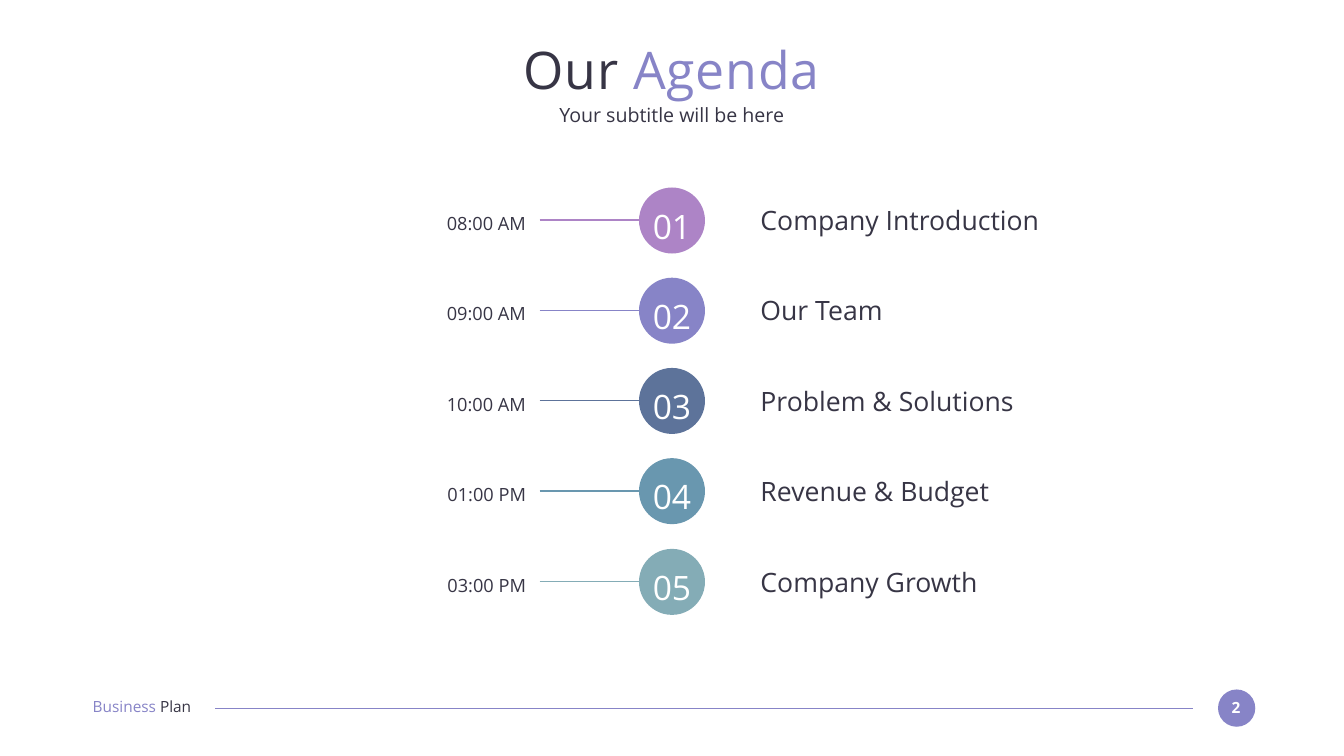
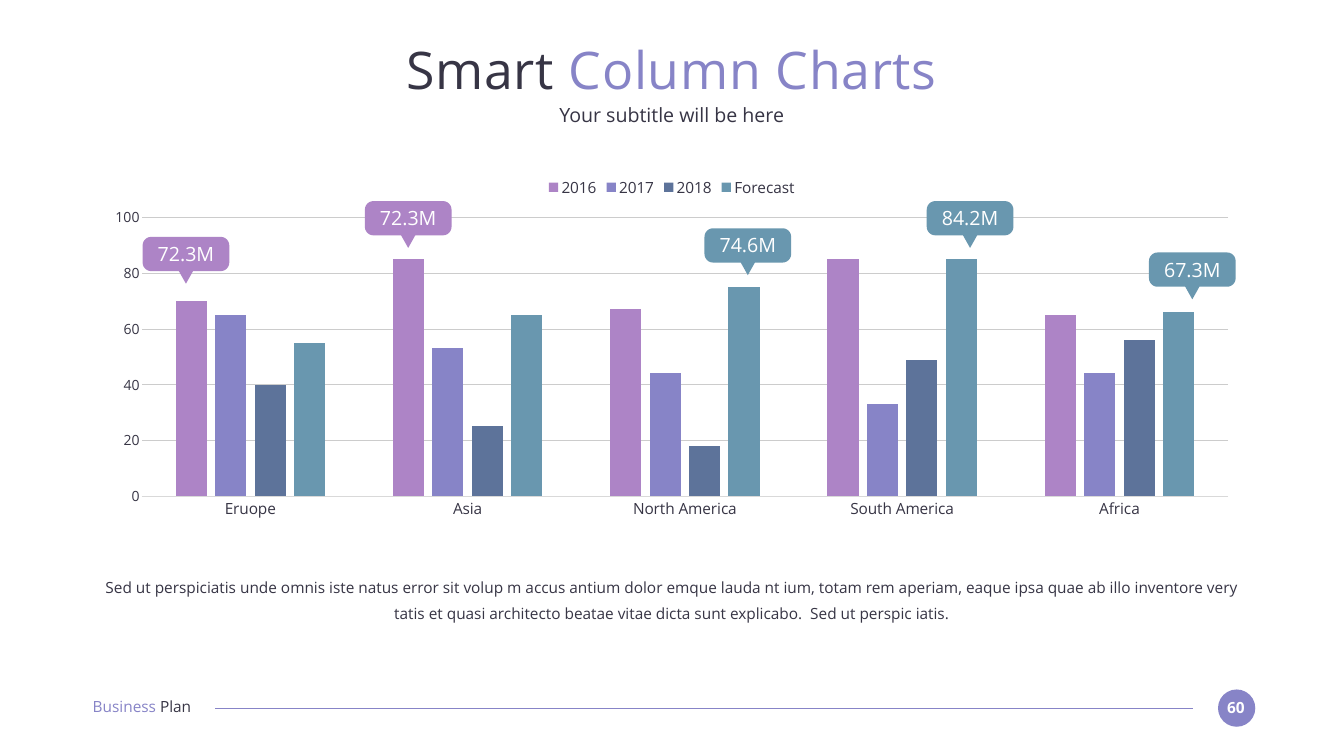
import math

from lxml import etree
from pptx import Presentation
from pptx import util as u
from pptx.chart.data import CategoryChartData
from pptx.dml.color import RGBColor
from pptx.enum import chart as charts
from pptx.enum import shapes, text
from pptx.oxml.ns import qn

# Scale: 100 px to the inch
PX = u.Inches(1) // 100
SLIDE_WIDTH, SLIDE_HEIGHT = 2667, 1500
MARGIN, CONTENT_WIDTH = 183, 2300

FONT = "Open Sans"
INK = RGBColor(0x37, 0x35, 0x45)
WHITE = RGBColor(0xFF, 0xFF, 0xFF)
ORCHID = RGBColor(0xAD, 0x84, 0xC6)
VIOLET = RGBColor(0x87, 0x84, 0xC7)
NAVY = RGBColor(0x5D, 0x73, 0x9A)
STEEL = RGBColor(0x69, 0x97, 0xAF)
SAGE = RGBColor(0x84, 0xAC, 0xB6)
AXIS_GREY = RGBColor(0xD9, 0xD9, 0xD9)
GRID_GREY = RGBColor(0xCC, 0xCC, 0xCC)
PALETTE = [ORCHID, VIOLET, NAVY, STEEL, SAGE]

LEFT, CENTER, RIGHT = text.PP_ALIGN.LEFT, text.PP_ALIGN.CENTER, text.PP_ALIGN.RIGHT

AGENDA = [
    ("08:00 AM", "Company Introduction"),
    ("09:00 AM", "Our Team"),
    ("10:00 AM", "Problem & Solutions"),
    ("01:00 PM", "Revenue & Budget"),
    ("03:00 PM", "Company Growth"),
]

REGIONS = ["Eruope", "Asia", "North America", "South America", "Africa"]
REVENUE = {
    "2016": [70, 85, 67, 85, 65],
    "2017": [65, 53, 44, 33, 44],
    "2018": [40, 25, 18, 49, 56],
    "Forecast": [55, 65, 75, 85, 66],
}
CALLOUTS = [
    (283, 470, "72.3M", ORCHID),
    (724, 399, "72.3M", ORCHID),
    (1398, 453, "74.6M", STEEL),
    (1839, 399, "84.2M", STEEL),
    (2280, 501, "67.3M", STEEL),
]
SUMMARY = (
    "Sed ut perspiciatis unde omnis iste natus error sit volup m accus antium "
    "dolor emque lauda nt ium, totam rem aperiam, eaque ipsa quae ab illo "
    "inventore very tatis et quasi architecto beatae vitae dicta sunt "
    "explicabo.  Sed ut perspic iatis."
)


# Basic elements
def style_font(font, size, color, bold=False):
    font.name = FONT
    font.size = u.Pt(size)
    font.bold = bold
    font.color.rgb = color


def add_text(page, left, top, width, height, spans, size, align=LEFT,
             bold=False, line_spacing=None, grow=True):
    """Add a text box; spans is a list of (wording, color)."""
    box = page.shapes.add_textbox(left * PX, top * PX, width * PX, height * PX)
    frame = box.text_frame
    frame.margin_left = frame.margin_right = 0
    frame.margin_top = frame.margin_bottom = 0
    frame.word_wrap = True
    if grow:
        frame.auto_size = text.MSO_AUTO_SIZE.SHAPE_TO_FIT_TEXT
    para = frame.paragraphs[0]
    para.alignment = align
    if line_spacing:
        para.line_spacing = line_spacing
    for wording, color in spans:
        span = para.add_run()
        span.text = wording
        style_font(span.font, size, color, bold)
    return box


def paint(shape, color):
    shape.shadow.inherit = False
    shape.fill.solid()
    shape.fill.fore_color.rgb = color
    shape.line.fill.background()


def add_circle(page, left, top, size, color):
    circle = page.shapes.add_shape(
        shapes.MSO_SHAPE.OVAL, left * PX, top * PX, size * PX, size * PX)
    paint(circle, color)


def add_rule(page, start, end, y, color, weight):
    rule = page.shapes.add_connector(
        shapes.MSO_CONNECTOR.STRAIGHT, start * PX, y * PX, end * PX, y * PX)
    rule.line.color.rgb = color
    rule.line.width = u.Pt(weight)
    etree.SubElement(rule._element.spPr, qn("a:effectLst"))


# Parts shared by the slides
def add_page(deck, number, title_start, title_end):
    page = deck.slides.add_slide(deck.slide_layouts[6])
    page.background.fill.solid()
    page.background.fill.fore_color.rgb = WHITE

    # Footer
    add_circle(page, 2417, 1368, 74, VIOLET)
    add_text(page, 2423, 1385, 59, 37, [(number, WHITE)], 22, CENTER, bold=True)
    add_rule(page, 2367, 427, 1405, VIOLET, 1.5)
    add_text(page, 184, 1384, 259, 37, [("Business ", VIOLET), ("Plan", INK)], 22)

    # Title and subtitle
    title = add_text(page, MARGIN, 73, CONTENT_WIDTH, 127,
                     [(title_start, INK), (title_end, VIOLET)], 74, CENTER, grow=False)
    for span in title.text_frame.paragraphs[0].runs:
        span.font._element.set("spc", "100")
    subtitle = add_text(page, MARGIN, 203, CONTENT_WIDTH, 49,
                        [("Your subtitle will be here", INK)], 28, CENTER, grow=False)
    for box in (title, subtitle):
        box.text_frame.vertical_anchor = text.MSO_ANCHOR.MIDDLE
    return page


# Agenda
def add_agenda_row(page, index, time, topic, color):
    top = 372 + index * 717 // 4
    add_circle(page, 1268, top, 131, color)
    add_rule(page, 1071, 1268, top + 65, color, 2.25)
    add_text(page, 1282, top + 20, 103, 97, [(f"{index + 1:02}", WHITE)], 48,
             CENTER, line_spacing=1.2)
    add_text(page, 690, top + 41, 354, 53, [(time, INK)], 26, RIGHT, line_spacing=1.2)
    add_text(page, 1509, top + 33, 629, 64, [(topic, INK)], 38)


# Column chart
def add_column_chart(page):
    data = CategoryChartData()
    data.categories = REGIONS
    for name, values in REVENUE.items():
        data.add_series(name, values)
    chart = page.shapes.add_chart(
        charts.XL_CHART_TYPE.COLUMN_CLUSTERED, MARGIN * PX, 338 * PX,
        CONTENT_WIDTH * PX, 705 * PX, data).chart
    chart.has_title = False
    style_font(chart.font, 22, INK)

    chart.has_legend = True
    chart.legend.position = charts.XL_LEGEND_POSITION.TOP
    chart.legend.include_in_layout = False
    style_font(chart.legend.font, 22, INK)

    plot = chart.plots[0]
    plot.gap_width = 219
    plot.overlap = -27
    plot.vary_by_categories = False
    for series, color in zip(plot.series, PALETTE):
        series.format.fill.solid()
        series.format.fill.fore_color.rgb = color
        series.invert_if_negative = False

    regions, amounts = chart.category_axis, chart.value_axis
    for axis, size in ((regions, 22), (amounts, 20)):
        axis.major_tick_mark = charts.XL_TICK_MARK.NONE
        axis.minor_tick_mark = charts.XL_TICK_MARK.NONE
        style_font(axis.tick_labels.font, size, INK)
    regions.format.line.color.rgb = AXIS_GREY
    regions.format.line.width = u.Pt(0.75)
    amounts.format.line.fill.background()
    amounts.minimum_scale, amounts.maximum_scale = 0, 100
    amounts.major_unit = 20
    amounts.has_major_gridlines = True
    grid = amounts.major_gridlines.format.line
    grid.color.rgb = GRID_GREY
    grid.width = u.Pt(1)


def corner(center_x, center_y, radius, start):
    """Points of a quarter circle, clockwise from the start angle."""
    angles = [math.radians(start + step) for step in range(0, 91, 15)]
    return [(center_x + radius * math.cos(a), center_y + radius * math.sin(a))
            for a in angles]


def add_callout(page, left, top, label, color):
    width, body, tip, radius, half_tip = 172, 68, 93, 17, 14
    right, bottom, middle = left + width, top + body, left + width // 2
    outline = (
        corner(left + radius, top + radius, radius, 180)
        + corner(right - radius, top + radius, radius, 270)
        + corner(right - radius, bottom - radius, radius, 0)
        + [(middle + half_tip, bottom), (middle, top + tip), (middle - half_tip, bottom)]
        + corner(left + radius, bottom - radius, radius, 90)
    )
    points = [(round(x * PX), round(y * PX)) for x, y in outline]
    builder = page.shapes.build_freeform(*points[0])
    builder.add_line_segments(points[1:], close=True)
    paint(builder.convert_to_shape(), color)
    add_text(page, left + 14, top + 10, 144, 47, [(label, WHITE)], 28, CENTER)


def main():
    deck = Presentation()
    deck.slide_width = SLIDE_WIDTH * PX
    deck.slide_height = SLIDE_HEIGHT * PX

    agenda = add_page(deck, "2", "Our ", "Agenda")
    for index, ((time, topic), color) in enumerate(zip(AGENDA, PALETTE)):
        add_agenda_row(agenda, index, time, topic, color)

    columns = add_page(deck, "60", "Smart ", "Column Charts")
    add_column_chart(columns)
    add_text(columns, MARGIN, 1133, CONTENT_WIDTH, 99, [(SUMMARY, INK)], 22,
             CENTER, line_spacing=1.4)
    for callout in CALLOUTS:
        add_callout(columns, *callout)

    deck.save("out.pptx")


if __name__ == "__main__":
    main()
